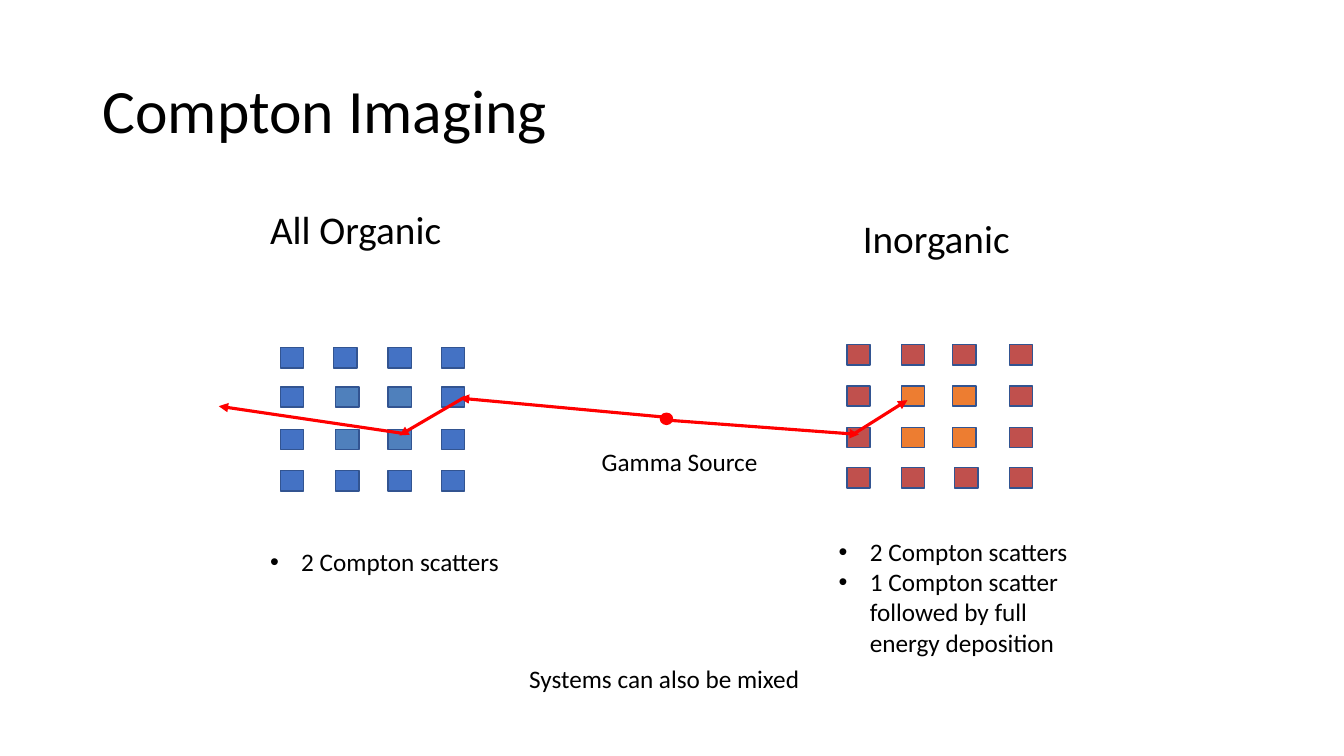
from dataclasses import dataclass

from lxml.etree import SubElement
from pptx import Presentation
from pptx.dml.color import RGBColor
from pptx.enum.shapes import MSO_CONNECTOR, MSO_SHAPE
from pptx.enum.text import MSO_ANCHOR
from pptx.oxml.ns import qn
from pptx.shapes.autoshape import Shape
from pptx.shapes.connector import Connector
from pptx.util import Inches, Pt

BLACK = RGBColor(0x00, 0x00, 0x00)
RED = RGBColor(0xFF, 0x00, 0x00)
BLUE = RGBColor(0x44, 0x72, 0xC4)
STEEL = RGBColor(0x4F, 0x80, 0xBC)
BRICK = RGBColor(0xC0, 0x50, 0x4D)
ORANGE = RGBColor(0xED, 0x7D, 0x31)
OUTLINE = RGBColor(0x32, 0x54, 0x91)

CELL_W, CELL_H = 0.23, 0.2
INNER = (1, 2)
BULLET_INDENT = 0.31


@dataclass
class Label:
    box: tuple[float, float, float, float]
    lines: list[str]
    size: int = 18
    bulleted: bool = False
    anchor: MSO_ANCHOR = MSO_ANCHOR.TOP
    spacing: float = 1.0


@dataclass
class Detector:
    columns: list[float]
    rows: list[float]
    outer: RGBColor
    inner: RGBColor
    shifted: tuple[int, int]  # row and column of the cell out of line
    shift: float


@dataclass
class Ray:
    start: tuple[float, float]
    end: tuple[float, float]


LABELS = [
    Label((0.92, 0.4, 11.5, 1.45), ["Compton Imaging"], 44,
          anchor=MSO_ANCHOR.MIDDLE, spacing=0.9),
    Label((2.58, 1.99, 2.5, 0.57), ["All Organic"], 28),
    Label((8.46, 2.08, 1.77, 0.57), ["Inorganic"], 28),
    Label((5.87, 4.38, 1.83, 0.4), ["Gamma Source"]),
    Label((2.58, 5.37, 2.77, 0.4), ["2 Compton scatters"], bulleted=True),
    Label((8.22, 5.27, 2.77, 1.31),
          ["2 Compton scatters",
           "1 Compton scatter followed by full energy deposition"],
          bulleted=True),
    Label((5.15, 6.53, 2.92, 0.4), ["Systems can also be mixed"]),
]
ORGANIC = Detector([2.78, 3.33, 3.85, 4.38], [3.45, 3.84, 4.26, 4.67],
                   BLUE, STEEL, (0, 1), -0.02)
INORGANIC = Detector([8.4, 8.94, 9.45, 10.01], [3.42, 3.83, 4.24, 4.64],
                     BRICK, ORANGE, (3, 2), 0.02)

prs = Presentation()
prs.slide_width, prs.slide_height = Inches(13.33), Inches(7.5)
slide = prs.slides.add_slide(prs.slide_layouts[6])


def add_label(label: Label) -> None:
    tf = slide.shapes.add_textbox(*map(Inches, label.box)).text_frame
    tf.word_wrap = True
    tf.vertical_anchor = label.anchor
    for i, line in enumerate(label.lines):
        p = tf.add_paragraph() if i else tf.paragraphs[0]
        p.line_spacing = label.spacing
        r = p.add_run()
        r.text = line
        font_format = {"name": "Calibri", "size": Pt(label.size)}
        for name, value in font_format.items():
            setattr(r.font, name, value)
        r.font.color.rgb = BLACK
        if label.bulleted:
            pPr = p._p.get_or_add_pPr()
            pPr.set("marL", str(Inches(BULLET_INDENT)))
            pPr.set("indent", str(-Inches(BULLET_INDENT)))
            SubElement(pPr, qn("a:buFont"), typeface="Arial")
            SubElement(pPr, qn("a:buChar"), char="•")


def add_filled(kind: MSO_SHAPE, box: tuple[float, float, float, float],
               fill: RGBColor, line: RGBColor) -> Shape:
    s = slide.shapes.add_shape(kind, *map(Inches, box))
    s.shadow.inherit = False
    s.fill.solid()
    s.fill.fore_color.rgb = fill
    s.line.color.rgb = line
    s.line.width = Pt(1)
    return s


def add_detector(d: Detector) -> dict[tuple[int, int], Shape]:
    cells = {}
    for row, y in enumerate(d.rows):
        for col, x in enumerate(d.columns):
            fill = d.inner if row in INNER and col in INNER else d.outer
            left = x + (d.shift if (row, col) == d.shifted else 0)
            cells[row, col] = add_filled(
                MSO_SHAPE.RECTANGLE, (left, y, CELL_W, CELL_H), fill, OUTLINE)
    return cells


def add_ray(ray: Ray) -> Connector:
    c = slide.shapes.add_connector(
        MSO_CONNECTOR.STRAIGHT, *map(Inches, ray.start + ray.end))
    c.line.color.rgb = RED
    c.line.width = Pt(2.25)
    SubElement(c.line._get_or_add_ln(), qn("a:tailEnd"), type="triangle")
    SubElement(c._element.spPr, qn("a:effectLst"))
    return c


# Title, headings and notes
for label in LABELS:
    add_label(label)

# Organic detector, gamma source and rays scattered to the left
organic_cells = add_detector(ORGANIC)
add_filled(MSO_SHAPE.OVAL, (6.55, 4.1, 0.12, 0.11), RED, RED)
add_ray(Ray((6.61, 4.14), (4.56, 3.95)))
scatter = add_ray(Ray((4.61, 3.94), (3.96, 4.32)))
scatter.begin_connect(organic_cells[1, 3], 3)
add_ray(Ray((4, 4.3), (2.17, 4.03)))

# Inorganic detector and rays to the right
add_detector(INORGANIC)
for ray in (Ray((6.64, 4.17), (8.52, 4.31)), Ray((8.46, 4.31), (9, 3.97))):
    add_ray(ray)

prs.save("out.pptx")
